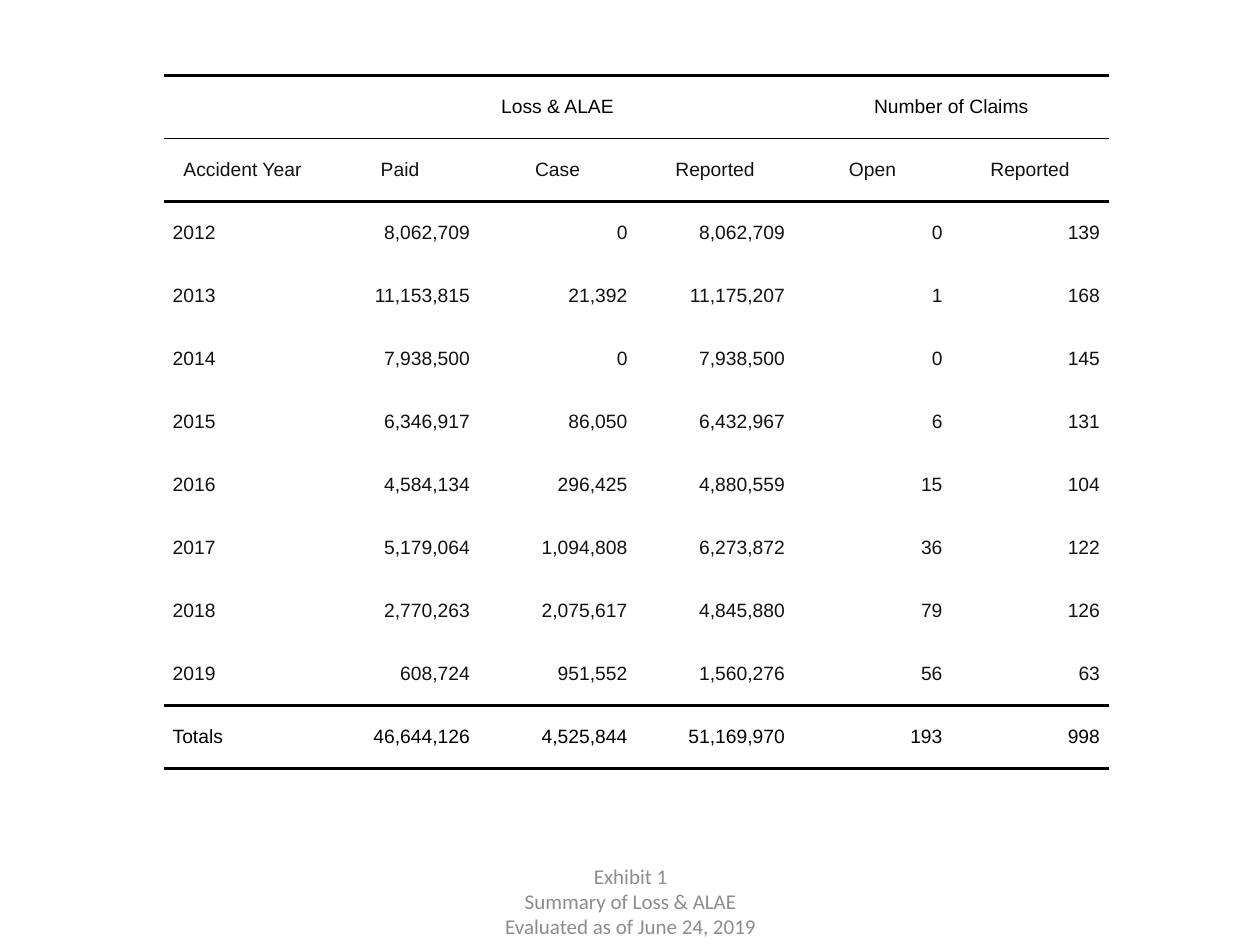
from lxml.etree import SubElement
from pptx import Presentation
from pptx.dml.color import RGBColor
from pptx.enum.text import MSO_ANCHOR as Anchor, PP_ALIGN as Align
from pptx.oxml.ns import qn
from pptx.util import Inches, Pt

CAPTION = ["Exhibit 1", "Summary of Loss & ALAE", "Evaluated as of June 24, 2019"]
GROUPS = [(1, 3), (4, 5)]  # first and last column of each merged heading
ROWS = [
    ["", "Loss & ALAE", "", "", "Number of Claims", ""],
    ["Accident Year", "Paid", "Case", "Reported", "Open", "Reported"],
    ["2012", "8,062,709", "0", "8,062,709", "0", "139"],
    ["2013", "11,153,815", "21,392", "11,175,207", "1", "168"],
    ["2014", "7,938,500", "0", "7,938,500", "0", "145"],
    ["2015", "6,346,917", "86,050", "6,432,967", "6", "131"],
    ["2016", "4,584,134", "296,425", "4,880,559", "15", "104"],
    ["2017", "5,179,064", "1,094,808", "6,273,872", "36", "122"],
    ["2018", "2,770,263", "2,075,617", "4,845,880", "79", "126"],
    ["2019", "608,724", "951,552", "1,560,276", "56", "63"],
    ["Totals", "46,644,126", "4,525,844", "51,169,970", "193", "998"],
]
LAST = len(ROWS) - 1
RULES = {0: 2, 1: 1, 2: 2, LAST: 2, LAST + 1: 2}  # line above row: points
COLORS = {"rule": "000000", "strong": "000000", "body": "111111", "caption": "8C8C8C"}
COL_W, ROW_H, PAD = Inches(1.25), Inches(0.5), Inches(0.07)


def add_run(p, text, font, size, color):
    """Add one formatted run to a paragraph."""
    r = p.add_run()
    r.text = text
    r.font.name, r.font.size = font, Pt(size)
    r.font.color.rgb = RGBColor.from_string(COLORS[color])


def set_borders(cell, top, bottom):
    """Draw the horizontal rules of a cell and clear its other borders."""
    tc_pr = cell._tc.get_or_add_tcPr()
    for side, width in (("L", 0), ("R", 0), ("T", top), ("B", bottom)):
        ln = SubElement(tc_pr, qn(f"a:ln{side}"), w=str(Pt(width)))
        if width:
            fill = SubElement(ln, qn("a:solidFill"))
            SubElement(fill, qn("a:srgbClr"), val=COLORS["rule"])
        else:
            SubElement(ln, qn("a:noFill"))


def fill_cell(cell, row, col, text):
    """Style one table cell and write its text."""
    set_borders(cell, RULES.get(row, 0), RULES.get(row + 1, 0))
    cell.fill.background()
    cell.vertical_anchor = Anchor.MIDDLE
    cell.margin_left = cell.margin_right = cell.margin_top = cell.margin_bottom = 0
    if not text:
        return
    p = cell.text_frame.paragraphs[0]
    p.alignment = Align.CENTER if row < 2 else Align.RIGHT if col else Align.LEFT
    p.space_before = p.space_after = Pt(2)
    p_pr = p._p.get_or_add_pPr()
    for side in ("marL", "marR"):
        p_pr.set(side, str(PAD))
    add_run(p, text, "Arial", 11, "strong" if row in (0, LAST) else "body")


def add_caption(s):
    """Add the centred caption below the table."""
    tf = s.shapes.add_textbox(Inches(3.42), Inches(6.95), Inches(3.17), Inches(0.4)).text_frame
    tf.word_wrap = True
    tf.vertical_anchor = Anchor.MIDDLE
    for i, line in enumerate(CAPTION):
        p = tf.add_paragraph() if i else tf.paragraphs[0]
        p.alignment = Align.CENTER
        add_run(p, line, "Calibri", 12, "caption")


def add_loss_table(s):
    """Add the loss and claim count table."""
    n_cols = len(ROWS[0])
    table = s.shapes.add_table(len(ROWS), n_cols, Inches(1.3), Inches(0.6),
                               COL_W * n_cols, ROW_H * len(ROWS)).table
    table.first_row = table.horz_banding = False
    for i, values in enumerate(ROWS):
        for j, text in enumerate(values):
            fill_cell(table.cell(i, j), i, j, text)
    for first, last in GROUPS:
        table.cell(0, first).merge(table.cell(0, last))


prs = Presentation()
prs.slide_width, prs.slide_height = Inches(10), Inches(7.5)
s = prs.slides.add_slide(prs.slide_layouts[6])
add_caption(s)
add_loss_table(s)
prs.save("out.pptx")
